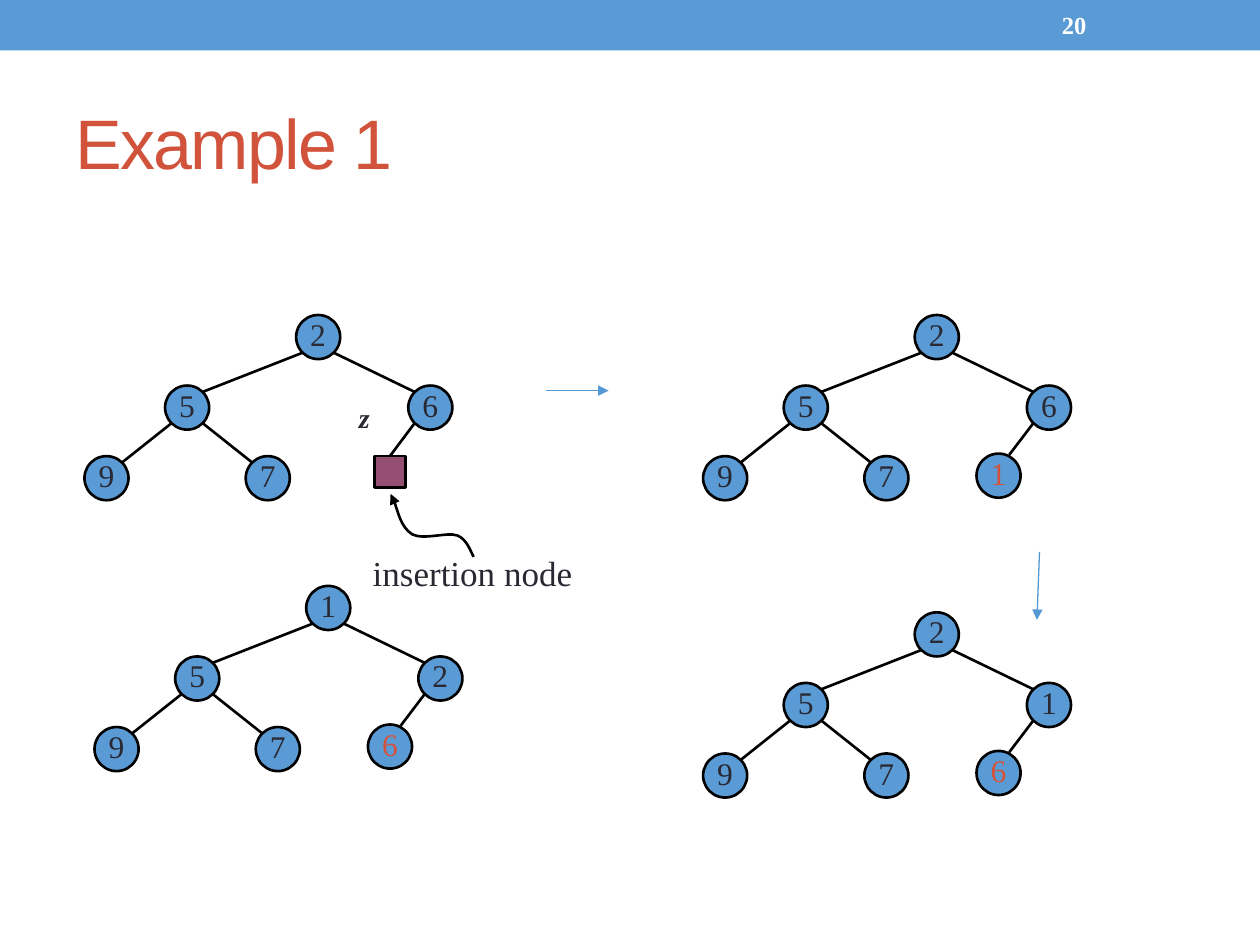
import pptx
import pptx.util
import pptx.dml.color
import pptx.enum.shapes
import pptx.enum.text
import pptx.oxml
import pptx.oxml.ns

Inches = pptx.util.Inches
SHAPE = pptx.enum.shapes.MSO_SHAPE
ALIGN = pptx.enum.text.PP_ALIGN
ANCHOR = pptx.enum.text.MSO_ANCHOR

COLOR = {"blue": "5B9BD5", "arrow": "5698D3", "red": "D2533C", "ink": "292934",
         "plum": "954F72", "black": "000000", "white": "FFFFFF"}
SERIF = "Times New Roman"

# Top left of the root, then keys: root, left, right, left-left, left-right, last.
# A last key of None stands for the empty insertion node.
TREES = [
    ((2.35, 2.5), ["2", "5", "6", "9", "7", None]),
    ((7.26, 2.5), ["2", "5", "6", "9", "7", "1"]),
    ((7.26, 4.86), ["2", "5", "1", "9", "7", "6"]),
    ((2.43, 4.65), ["1", "5", "2", "9", "7", "6"]),
]
# Node offsets from the root
SPOTS = [(0, 0), (-1.04, 0.56), (0.89, 0.56), (-1.68, 1.12), (-0.4, 1.12), (0.49, 1.1)]
EDGES = [(0, 1), (0, 2), (1, 3), (1, 4), (2, 5)]
STEPS = [((4.33, 3.1), (4.83, 3.1)), ((8.25, 4.38), (8.23, 4.92))]
# Start of the curve, then two handles and an end for each part
CURVE = [(3.76, 4.42), (3.74, 4.39), (3.71, 4.28), (3.63, 4.25), (3.55, 4.22),
         (3.36, 4.29), (3.27, 4.24), (3.18, 4.18), (3.14, 3.98), (3.1, 3.92)]
SIZE = 0.35    # node diameter
BOX = 0.25     # insertion node side
SLANT = 0.125  # from a node's centre to its edge at 45 degrees, along each axis
LAST = (0.75, 1.11)  # where the edge to the last node ends, from the root


def tint(name):
    return pptx.dml.color.RGBColor.from_string(COLOR[name])


def write(shape, text, size=18, font=SERIF, color="ink", bold=False, italic=False,
          align=ALIGN.LEFT, anchor=ANCHOR.TOP, wrap=False, pad=(0.1, 0.05, 0.1, 0.05),
          space=None):
    """Fill a shape with one run; pad is left, top, right, bottom in inches."""
    frame = shape.text_frame
    frame.word_wrap = wrap
    frame.vertical_anchor = anchor
    (frame.margin_left, frame.margin_top,
     frame.margin_right, frame.margin_bottom) = map(Inches, pad)
    para = frame.paragraphs[0]
    para.alignment = align
    run = para.add_run()
    run.text = text
    run.font.size = pptx.util.Pt(size)
    run.font.name = font
    run.font.bold = bold
    run.font.italic = italic
    run.font.color.rgb = tint(color)
    if space is not None:
        run.font._element.set("spc", str(space))


def label(slide, text, left, top, width, height, **style):
    box = slide.shapes.add_textbox(*map(Inches, (left, top, width, height)))
    write(box, text, **style)


def block(slide, kind, left, top, width, height, fill, edge=True):
    shape = slide.shapes.add_shape(kind, *map(Inches, (left, top, width, height)))
    shape.shadow.inherit = False
    shape.fill.solid()
    shape.fill.fore_color.rgb = tint(fill)
    if edge:
        stroke(shape)
    else:
        shape.line.fill.background()
    return shape


def stroke(shape, color="black", width=1.5, head=False):
    shape.line.color.rgb = tint(color)
    shape.line.width = pptx.util.Pt(width)
    if head:
        tip = pptx.oxml.parse_xml(
            f'<a:tailEnd {pptx.oxml.ns.nsdecls("a")} type="triangle"/>')
        shape.line._get_or_add_ln().append(tip)


def link(slide, start, end, **style):
    line = slide.shapes.add_connector(
        pptx.enum.shapes.MSO_CONNECTOR.STRAIGHT, *map(Inches, (*start, *end)))
    stroke(line, **style)
    line._element.spPr.append(pptx.oxml.parse_xml(
        f'<a:effectLst {pptx.oxml.ns.nsdecls("a")}/>'))
    return line


def tree(slide, root, keys):
    spots = [(root[0] + dx, root[1] + dy) for dx, dy in SPOTS]
    mids = [(x + SIZE / 2, y + SIZE / 2) for x, y in spots]
    for num, (key, (x, y)) in enumerate(zip(keys, spots)):
        if key is None:
            hole = block(slide, SHAPE.RECTANGLE, root[0] + 0.62, root[1] + 1.12,
                         BOX, BOX, "plum")
            continue
        node = block(slide, SHAPE.OVAL, x, y, SIZE, SIZE, "blue")
        write(node, key, color="red" if num == 5 else "ink", align=ALIGN.CENTER,
              anchor=ANCHOR.MIDDLE, pad=(0, 0, 0, 0.05))
    for up, low in EDGES:
        (ax, ay), (bx, by) = mids[up], mids[low]
        side = SLANT if bx > ax else -SLANT
        end = (bx - side, by - SLANT)
        if low == 5:
            end = (root[0] + LAST[0], root[1] + LAST[1])
        line = link(slide, (ax + side, ay + SLANT), end)
        if keys[low] is None:
            line.end_connect(hole, 0)


def curve(slide, points):
    """Draw a Bezier curve with an arrowhead at its end."""
    spots = [(Inches(x), Inches(y)) for x, y in points]
    pen = slide.shapes.build_freeform(*spots[0])
    pen.add_line_segments(spots[1:], close=False)
    shape = pen.convert_to_shape()
    shape.shadow.inherit = False
    shape.fill.background()
    stroke(shape, head=True)
    parts = shape._element.findall(".//" + pptx.oxml.ns.qn("a:lnTo"))
    for at in range(0, len(parts), 3):
        bend = pptx.oxml.parse_xml(
            f'<a:cubicBezTo {pptx.oxml.ns.nsdecls("a")}/>')
        parts[at].addprevious(bend)
        for part in parts[at:at + 3]:
            bend.append(part[0])
            part.getparent().remove(part)


def main():
    deck = pptx.Presentation()
    deck.slide_width, deck.slide_height = Inches(10), Inches(7.5)
    slide = deck.slides.add_slide(deck.slide_layouts[5])

    block(slide, SHAPE.RECTANGLE, 0, 0, 10, 0.4, "blue", edge=False)
    title = slide.shapes.title
    title.left, title.top, title.width, title.height = map(Inches, (0.5, 0.58, 9, 1.08))
    write(title, "Example 1", size=40, font="Arial", color="red",
          anchor=ANCHOR.MIDDLE, wrap=True, space=-100)
    label(slide, "20", 8.33, 0.02, 1.17, 0.36, size=14, color="white", bold=True,
          anchor=ANCHOR.MIDDLE, wrap=True)

    for root, keys in TREES:
        tree(slide, root, keys)
    for start, end in STEPS:
        link(slide, start, end, color="arrow", width=0.75, head=True)
    curve(slide, CURVE)
    label(slide, "insertion node", 2.86, 4.33, 1.79, 0.43, size=20)
    label(slide, "z", 2.75, 3.13, 0.28, 0.36, size=16, bold=True, italic=True)

    deck.save("out.pptx")


if __name__ == "__main__":
    main()
